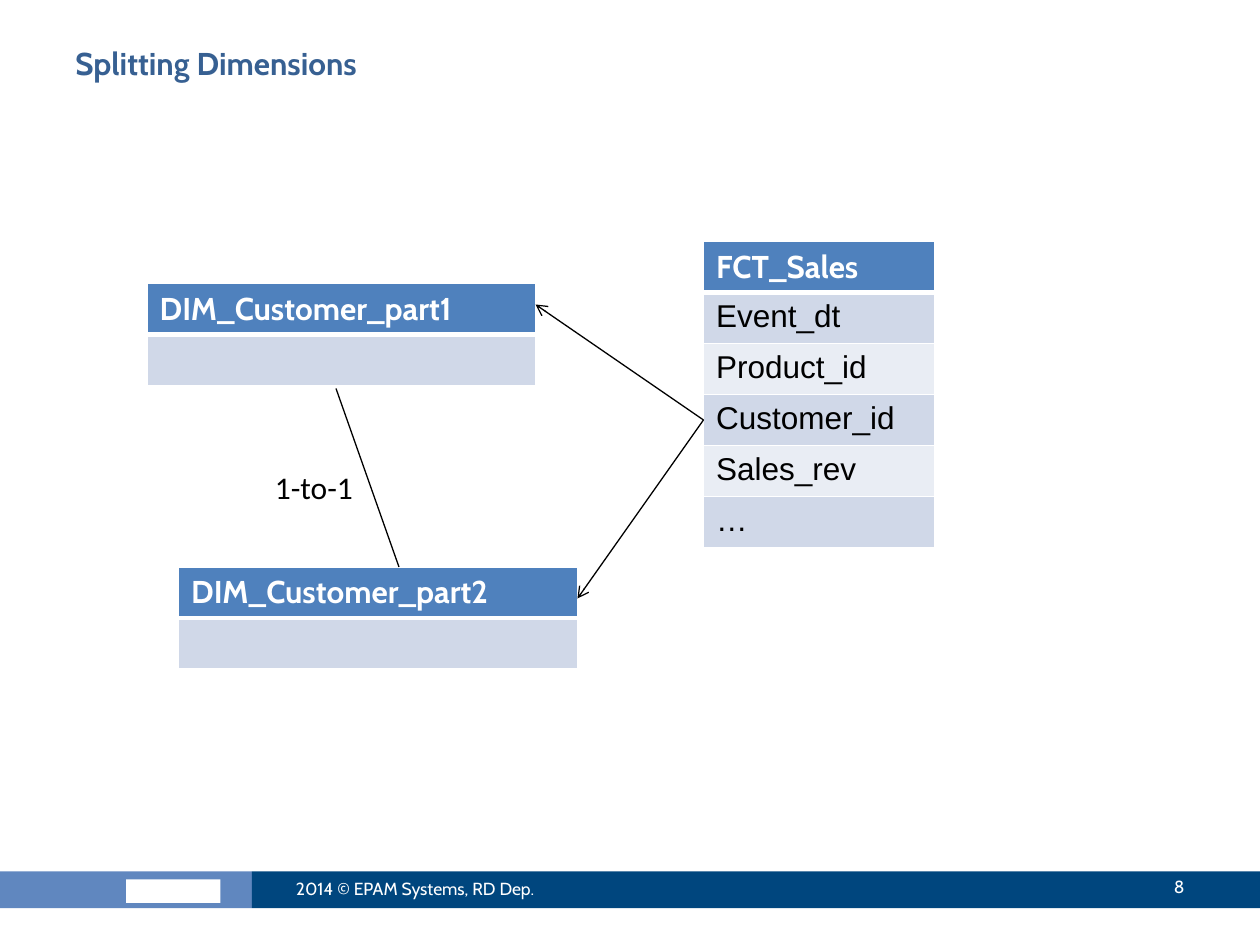
"""Build the Splitting Dimensions slide with its star-schema tables."""
from lxml.etree import SubElement
from pptx import Presentation
from pptx.dml.color import RGBColor
from pptx.enum.shapes import MSO_CONNECTOR, MSO_SHAPE
from pptx.enum.text import MSO_ANCHOR, PP_ALIGN
from pptx.oxml.ns import qn
from pptx.util import Inches, Pt

COLUMNS, ROWS = 120, 90
WIDTH, HEIGHT = Inches(10), Inches(7.5)
ROW_HEIGHT = 4.86
HEADER_FILL, BAND_FILLS = "4F81BD", ("D0D8E8", "E9EDF4")
HEADER_FONT = {"name": "Cabin", "size": Pt(18), "bold": True, "color": "FFFFFF"}
BODY_FONT = {"name": "Arial", "size": Pt(18), "bold": False, "color": "000000"}
TITLE_FONT = HEADER_FONT | {"color": "376092"}
FOOTER_FONT = {"name": "Cabin", "size": Pt(10), "color": "FFFFFF"}
LABEL_FONT = {"name": "Calibri", "size": Pt(18), "color": "000000"}

BARS = [
    ((0, 83, 24, 3.5), "6087BF"),
    ((12, 83.75, 9, 2.25), "FFFFFF"),
    ((24, 83, 96, 3.5), "00467E"),
]
TEXTS = [
    ("2014 © EPAM Systems, RD Dep.", (27, 82.2, 32, 4.8), FOOTER_FONT,
     PP_ALIGN.LEFT, MSO_ANCHOR.MIDDLE, True),
    ("8", (101, 82, 13, 4.8), FOOTER_FONT, PP_ALIGN.RIGHT, MSO_ANCHOR.MIDDLE, True),
    ("Splitting Dimensions", (6, 3.6, 108, 9.4), TITLE_FONT,
     PP_ALIGN.LEFT, MSO_ANCHOR.TOP, True),
    ("1-to-1", (25, 44, 10, 4.8), LABEL_FONT, PP_ALIGN.LEFT, MSO_ANCHOR.TOP, False),
]
TABLES = [
    ((67, 23, 22), ["FCT_Sales", "Event_dt", "Product_id", "Customer_id", "Sales_rev", "…"]),
    ((14, 27, 37), ["DIM_Customer_part1", ""]),
    ((17, 54, 38), ["DIM_Customer_part2", ""]),
]
LINES = [
    ((67, 40), (51, 29), True),
    ((67, 40), (55, 57), True),
    ((32, 37), (38, 54), False),
]


def color(code):
    return RGBColor.from_string(code)


def place(*cells):
    """Turn alternating column and row counts into slide lengths."""
    scales = (WIDTH / COLUMNS, HEIGHT / ROWS)
    return [round(cell * scales[index % 2]) for index, cell in enumerate(cells)]


def style(paragraph, values):
    for key, value in values.items():
        if key == "color":
            paragraph.font.color.rgb = color(value)
        else:
            setattr(paragraph.font, key, value)


def add_bar(page, area, fill):
    bar = page.shapes.add_shape(MSO_SHAPE.RECTANGLE, *place(*area))
    bar.shadow.inherit = False
    bar.fill.solid()
    bar.fill.fore_color.rgb = color(fill)
    bar.line.fill.background()


def add_text(page, text, area, font, align, anchor, wrap):
    frame = page.shapes.add_textbox(*place(*area)).text_frame
    frame.word_wrap, frame.vertical_anchor = wrap, anchor
    paragraph = frame.paragraphs[0]
    paragraph.text, paragraph.alignment = text, align
    style(paragraph, font)


def add_borders(cell, widths):
    """Draw white borders, given widths in points by side."""
    properties = cell._tc.get_or_add_tcPr()
    for side, width in widths.items():
        border = SubElement(properties, qn(f"a:ln{side}"), w=str(Pt(width)))
        fill = SubElement(border, qn("a:solidFill"))
        SubElement(fill, qn("a:srgbClr"), val="FFFFFF")


def add_entity(page, corner, names):
    area = place(*corner, ROW_HEIGHT * len(names))
    table = page.shapes.add_table(len(names), 1, *area).table
    for index, name in enumerate(names):
        table.rows[index].height = place(0, ROW_HEIGHT)[1]
        cell = table.cell(index, 0)
        cell.text = name
        style(cell.text_frame.paragraphs[0], BODY_FONT if index else HEADER_FONT)
        add_borders(cell, {"L": 1, "R": 1, "T": 3 if index == 1 else 1,
                           "B": 1 if index else 3})
        cell.fill.solid()
        cell.fill.fore_color.rgb = color(BAND_FILLS[(index - 1) % 2] if index else HEADER_FILL)


def add_line(page, start, end, arrow):
    line = page.shapes.add_connector(MSO_CONNECTOR.STRAIGHT, *place(*start, *end))
    line.line.color.rgb = color("000000")
    line.line.width = Pt(0.75)
    if arrow:
        SubElement(line.line._get_or_add_ln(), qn("a:tailEnd"), type="arrow")
    SubElement(line._element.spPr, qn("a:effectLst"))


def main():
    deck = Presentation()
    deck.slide_width, deck.slide_height = WIDTH, HEIGHT
    page = deck.slides.add_slide(deck.slide_layouts[6])
    for add, items in ((add_bar, BARS), (add_entity, TABLES),
                       (add_line, LINES), (add_text, TEXTS)):
        for item in items:
            add(page, *item)
    deck.save("out.pptx")


if __name__ == "__main__":
    main()
